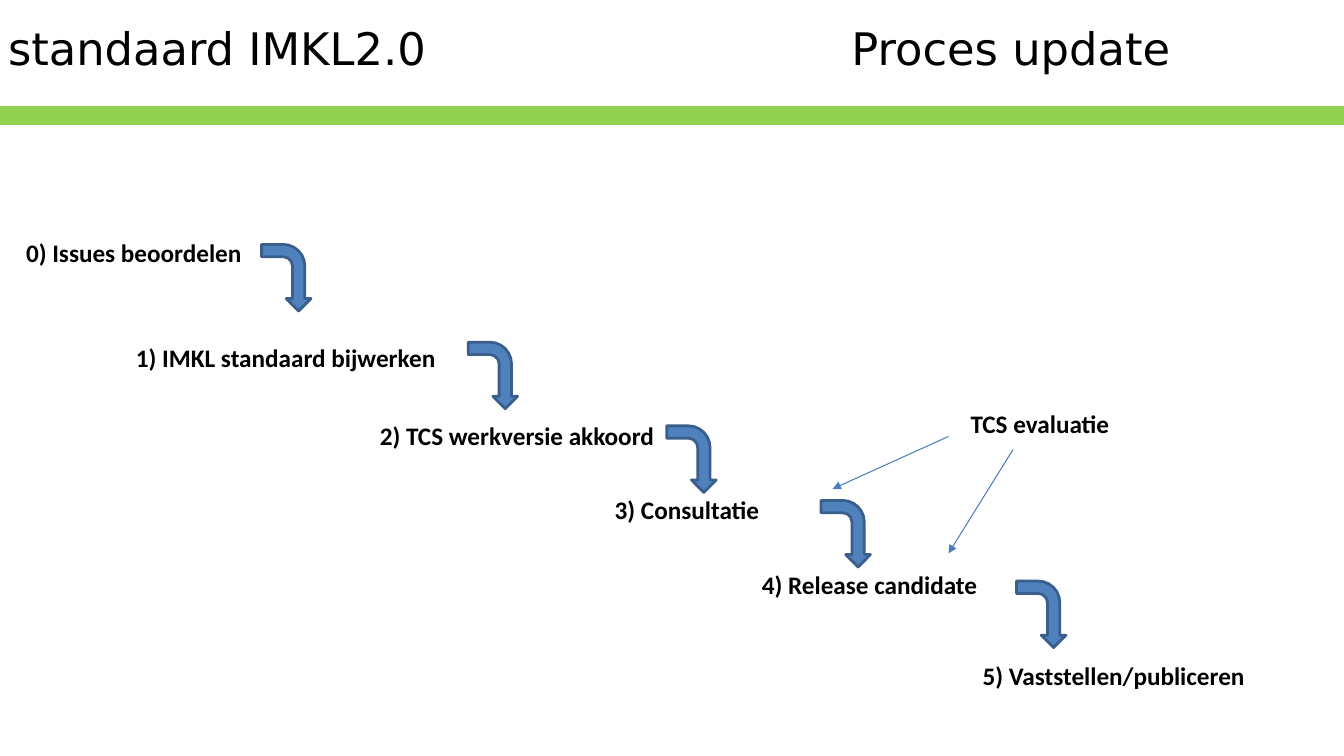
from lxml import etree
from pptx import Presentation
from pptx.dml.color import RGBColor
from pptx.enum.shapes import MSO_CONNECTOR, MSO_SHAPE
from pptx.enum.text import MSO_AUTO_SIZE
from pptx.oxml.ns import qn
from pptx.util import Inches, Pt

BAR = MSO_SHAPE.RECTANGLE
BENT_ARROW = MSO_SHAPE.BENT_ARROW
STRAIGHT = MSO_CONNECTOR.STRAIGHT
FIT_SHAPE = MSO_AUTO_SIZE.SHAPE_TO_FIT_TEXT
COLUMNS, ROWS = 160, 90

TITLE = "standaard IMKL2.0\tProces update"
TITLE_TAB = 100.4
LABEL_HEIGHT = 4.8
ARROW_SIZE = (7.92, 5.88)
STEPS = [
    ("0) Issues beoordelen", (1.92, 27.72, 28.2), (30.12, 30.12)),
    ("1) IMKL standaard bijwerken", (15, 40.2, 38.4), (54.72, 41.76)),
    ("2) TCS werkversie akkoord", (44.04, 49.44, 35.28), (78.36, 51.72)),
    ("3) Consultatie", (72, 58.2, 19.8), (96.72, 60.6)),
    ("4) Release candidate", (89.52, 67.2, 28.2), (120, 70.2)),
    ("5) Vaststellen/publiceren", (115.8, 78, 33.84), None),
]
EVALUATION = ("TCS evaluatie", (114.36, 48, 19.08))
EVALUATION_ARROWS = [
    ((112.92, 51.96), (99.12, 58.2)),
    ((120.6, 53.52), (112.92, 65.88)),
]


def color(hex_code):
    return RGBColor.from_string(hex_code)


class ProcessSlide:
    ink, green = "000000", "92D050"
    arrow_fill, arrow_edge, pointer = "4F81BD", "3A5F8C", "4B7EBC"
    title_font, label_font = "DejaVu Sans", "Calibri"

    def __init__(self, deck):
        self.slide = deck.slides.add_slide(deck.slide_layouts[6])
        self.column = deck.slide_width / COLUMNS
        self.row = deck.slide_height / ROWS

    def place(self, *grid):
        units = (self.column, self.row) * 2
        return [round(value * unit) for value, unit in zip(grid, units)]

    def text(self, words, grid, font, size, bold=False):
        box = self.slide.shapes.add_textbox(*self.place(*grid))
        box.text_frame.text = words
        for run in box.text_frame.paragraphs[0].runs:
            run.font.name = font
            run.font.size = Pt(size)
            run.font.bold = bold
            run.font.color.rgb = color(self.ink)
        return box.text_frame

    def title(self, words, tab):
        frame = self.text(words, (0, 1.92, COLUMNS, 21.72), self.title_font, 32)
        frame.word_wrap = True
        frame.margin_left = Inches(0.08)
        properties = frame.paragraphs[0]._p.get_or_add_pPr()
        stops = etree.SubElement(properties, qn("a:tabLst"))
        etree.SubElement(stops, qn("a:tab"), pos=str(round(tab * self.column)), algn="l")

    def label(self, words, spot):
        frame = self.text(words, (*spot, LABEL_HEIGHT), self.label_font, 18, True)
        frame.word_wrap = False
        frame.auto_size = FIT_SHAPE

    def block(self, kind, grid, fill, edge, rotation=0):
        block = self.slide.shapes.add_shape(kind, *self.place(*grid))
        block.shadow.inherit = False
        block.rotation = rotation
        block.fill.solid()
        block.fill.fore_color.rgb = color(fill)
        block.line.color.rgb = color(edge)
        block.line.width = Pt(2)

    def step_arrow(self, spot):
        self.block(BENT_ARROW, (*spot, *ARROW_SIZE), self.arrow_fill, self.arrow_edge, 90)

    def pointer_arrow(self, start, end):
        ends = self.place(*start, *end)
        arrow = self.slide.shapes.add_connector(STRAIGHT, *ends)
        arrow.line.color.rgb = color(self.pointer)
        arrow.line.width = Pt(0.75)
        etree.SubElement(arrow.line._get_or_add_ln(), qn("a:tailEnd"), type="triangle")
        etree.SubElement(arrow._element.spPr, qn("a:effectLst"))


def main():
    deck = Presentation()
    deck.slide_width, deck.slide_height = Inches(13.33), Inches(7.5)
    process = ProcessSlide(deck)
    process.block(BAR, (0, 12.84, COLUMNS, 1.92), process.green, process.green)
    process.title(TITLE, TITLE_TAB)
    for words, spot, arrow_spot in STEPS:
        process.label(words, spot)
        if arrow_spot:
            process.step_arrow(arrow_spot)
    process.label(*EVALUATION)
    for start, end in EVALUATION_ARROWS:
        process.pointer_arrow(start, end)
    deck.save("out.pptx")


if __name__ == "__main__":
    main()
